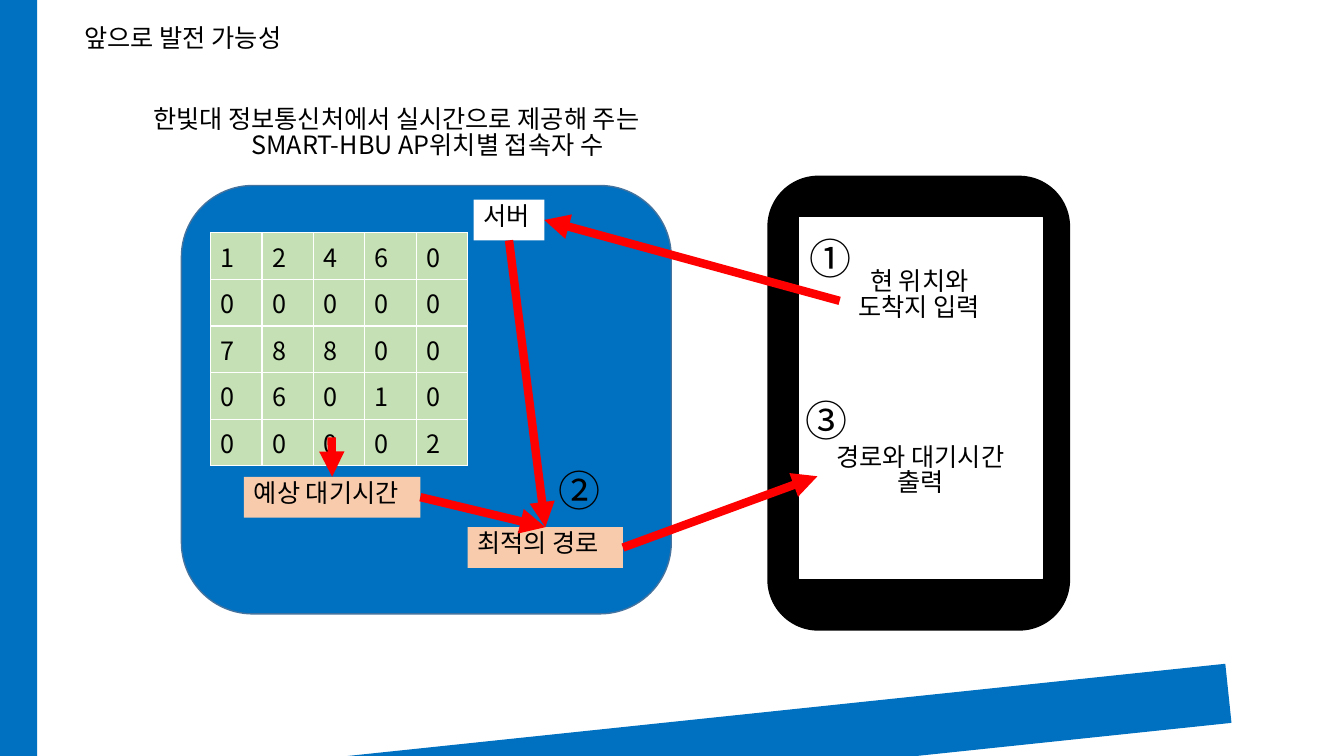
import pptx
import pptx.dml.color
import pptx.enum.shapes
import pptx.enum.text
import pptx.oxml.ns
import pptx.util
from lxml import etree

COLORS = {
    "blue": "0070C0", "edge": "43739E", "black": "000000", "white": "FFFFFF",
    "green": "C5E0B4", "peach": "F8CBAD", "red": "FF0000",
}
FONT = "Noto Sans CJK KR"
COLS, ROWS = 40, 30
ALIGN = pptx.enum.text.PP_ALIGN
SHAPE = pptx.enum.shapes.MSO_SHAPE
LEFT, RIGHT, TOP, BOTTOM = 1, 3, 0, 2
qn = pptx.oxml.ns.qn


def rgb(name):
    return pptx.dml.color.RGBColor.from_string(COLORS[name])


def write(p, text, size=18, color="black", align=None, spacing=None):
    p.alignment = align
    p.line_spacing = spacing
    r = p.add_run()
    r.text = text
    r.font.size = pptx.util.Pt(size)
    r.font.bold = False
    r.font.name = FONT
    r.font.color.rgb = rgb(color)
    etree.SubElement(r.font._element, qn("a:ea")).set("typeface", FONT)


class Board:
    def __init__(self, prs):
        self.width, self.height = prs.slide_width, prs.slide_height
        self.shapes = prs.slides.add_slide(prs.slide_layouts[6]).shapes

    def grid(self, col, row):
        return round(self.width * col / COLS), round(self.height * row / ROWS)

    def box(self, col, row, cols, rows, fill, line=None, kind=SHAPE.RECTANGLE, text=None):
        sp = self.shapes.add_shape(kind, *self.grid(col, row), *self.grid(cols, rows))
        sp.shadow.inherit = False
        sp.fill.solid()
        sp.fill.fore_color.rgb = rgb(fill)
        if line:
            sp.line.color.rgb = rgb(line)
            sp.line.width = pptx.util.Pt(1)
        else:
            sp.line.fill.background()
        if text:
            self.fill_text(sp, [(text, ALIGN.LEFT)])
        return sp

    def text(self, col, row, cols, rows, lines, size=18, inset=True):
        sp = self.shapes.add_textbox(*self.grid(col, row), *self.grid(cols, rows))
        self.fill_text(sp, lines, size, inset)
        return sp

    def fill_text(self, sp, lines, size=18, inset=True):
        tf = sp.text_frame
        tf.word_wrap = True
        tf.auto_size = pptx.enum.text.MSO_AUTO_SIZE.NONE
        tf.vertical_anchor = pptx.enum.text.MSO_ANCHOR.TOP
        if not inset:
            tf.margin_left = tf.margin_right = tf.margin_top = tf.margin_bottom = 0
        for i, (line, align) in enumerate(lines):
            p = tf.add_paragraph() if i else tf.paragraphs[0]
            write(p, line, size=size, align=align, spacing=0.85)

    def table(self, col, row, cols, rows, values, fill):
        tbl = self.shapes.add_table(len(values), len(values[0]),
                                    *self.grid(col, row), *self.grid(cols, rows)).table
        tbl.horz_banding = False
        for r, digits in enumerate(values):
            for c, digit in enumerate(digits):
                cell = tbl.cell(r, c)
                cell.fill.solid()
                cell.fill.fore_color.rgb = rgb(fill)
                write(cell.text_frame.paragraphs[0], digit, align=ALIGN.JUSTIFY)

    def arrow(self, end, site, start=None, origin=None):
        x, y = self.grid(*origin) if origin else (0, 0)
        cx = self.shapes.add_connector(pptx.enum.shapes.MSO_CONNECTOR.STRAIGHT, x, y, x, y)
        if start:
            cx.begin_connect(*start)
        if isinstance(end, tuple):
            cx.end_x, cx.end_y = self.grid(*end)
        else:
            cx.end_connect(end, site)
        cx.line.color.rgb = rgb("red")
        cx.line.width = pptx.util.Pt(6)
        etree.SubElement(cx.line._get_or_add_ln(), qn("a:tailEnd")).set("type", "triangle")
        etree.SubElement(cx._element.spPr, qn("a:effectLst"))


def main():
    prs = pptx.Presentation()
    prs.slide_width = pptx.util.Inches(13.333)
    prs.slide_height = pptx.util.Inches(7.5)
    b = Board(prs)

    b.box(20.49, 9.28, 1.77, 40.72, "blue").rotation = 264
    b.box(0, 0, 1.11, ROWS, "blue")
    b.text(2.22, 0.88, 7.23, 1.6, [("앞으로 발전 가능성", ALIGN.LEFT)])

    b.box(5.4, 7.36, 14.58, 17, "blue", "edge", SHAPE.ROUNDED_RECTANGLE)
    b.box(22.86, 7, 8.97, 18, "black", "black", SHAPE.ROUNDED_RECTANGLE)
    b.box(23.79, 8.64, 7.23, 14.32, "white", "white")
    b.table(6.27, 9.24, 7.65, 8.12, ["12460", "00000", "78800", "06010", "00002"], "green")

    server = b.box(14.1, 7.92, 2.1, 1.62, "white", text="서버")
    wait = b.box(7.26, 18.92, 5.25, 1.62, "peach", text="예상 대기시간")
    route = b.box(13.92, 20.92, 4.62, 1.62, "peach", text="최적의 경로")
    output = b.text(24.33, 17.48, 6.12, 2.84,
                    [("경로와 대기시간", ALIGN.CENTER), ("출력", ALIGN.CENTER)])
    entry = b.text(24.99, 10.52, 4.74, 2.84,
                   [("현 위치와", ALIGN.CENTER), ("도착지 입력", ALIGN.CENTER)])

    b.arrow(output, LEFT, start=(route, RIGHT))
    b.arrow(server, RIGHT, start=(entry, LEFT))
    b.arrow(wait, TOP, origin=(9.87, 17.36))
    b.arrow(route, TOP, start=(wait, RIGHT))
    b.arrow(route, TOP, start=(server, BOTTOM))

    for number, col, row in [("①", 24.09, 9.52), ("②", 16.62, 18.72), ("③", 23.97, 15.96)]:
        b.text(col, row, 1.4, 2.04, [(number, ALIGN.LEFT)], size=30, inset=False)
    b.text(4.26, 4.08, 16.92, 2.84,
           [("한빛대 정보통신처에서 실시간으로 제공해 주는", ALIGN.LEFT),
            ("SMART-HBU AP위치별 접속자 수", ALIGN.CENTER)])

    prs.save("out.pptx")


if __name__ == "__main__":
    main()
